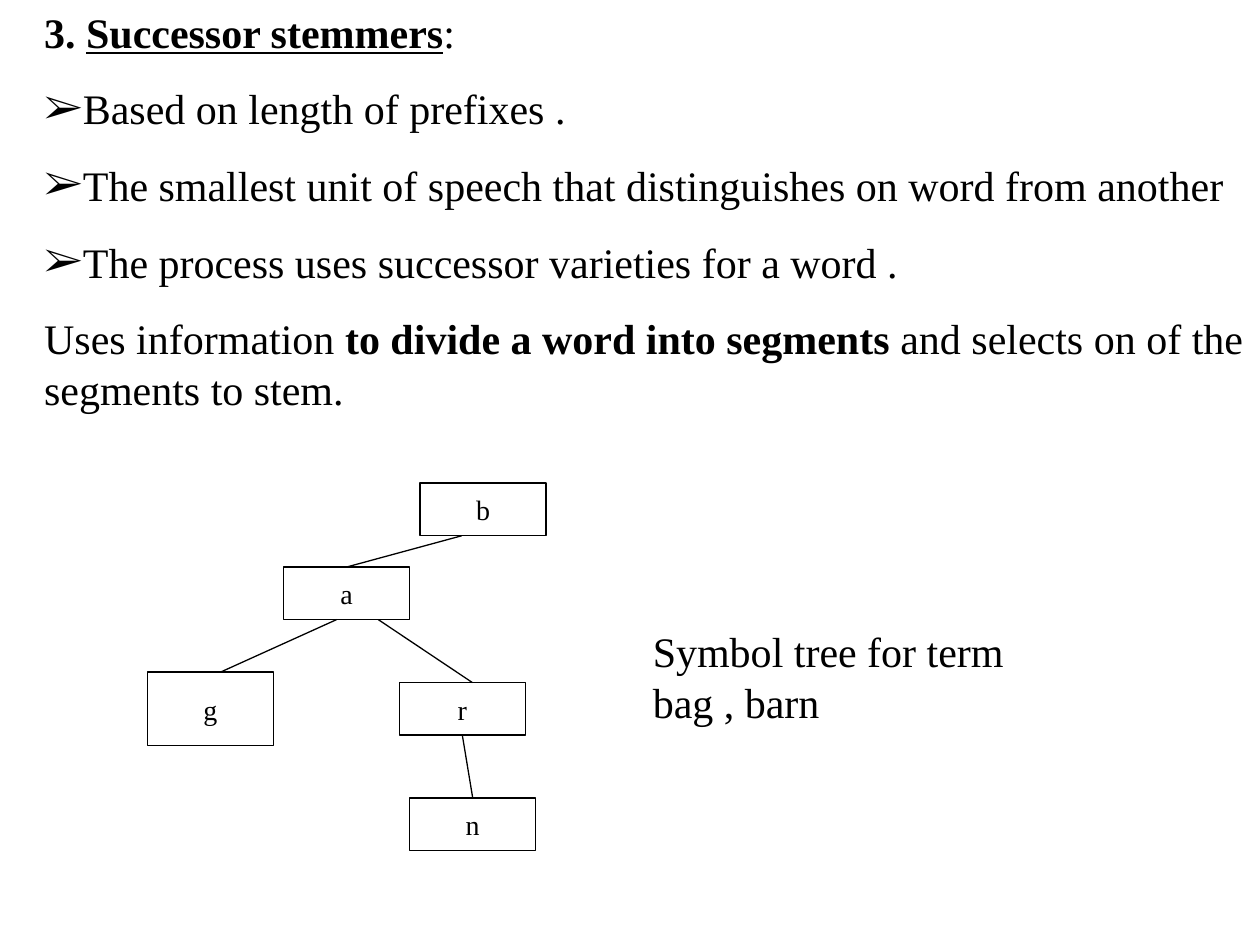
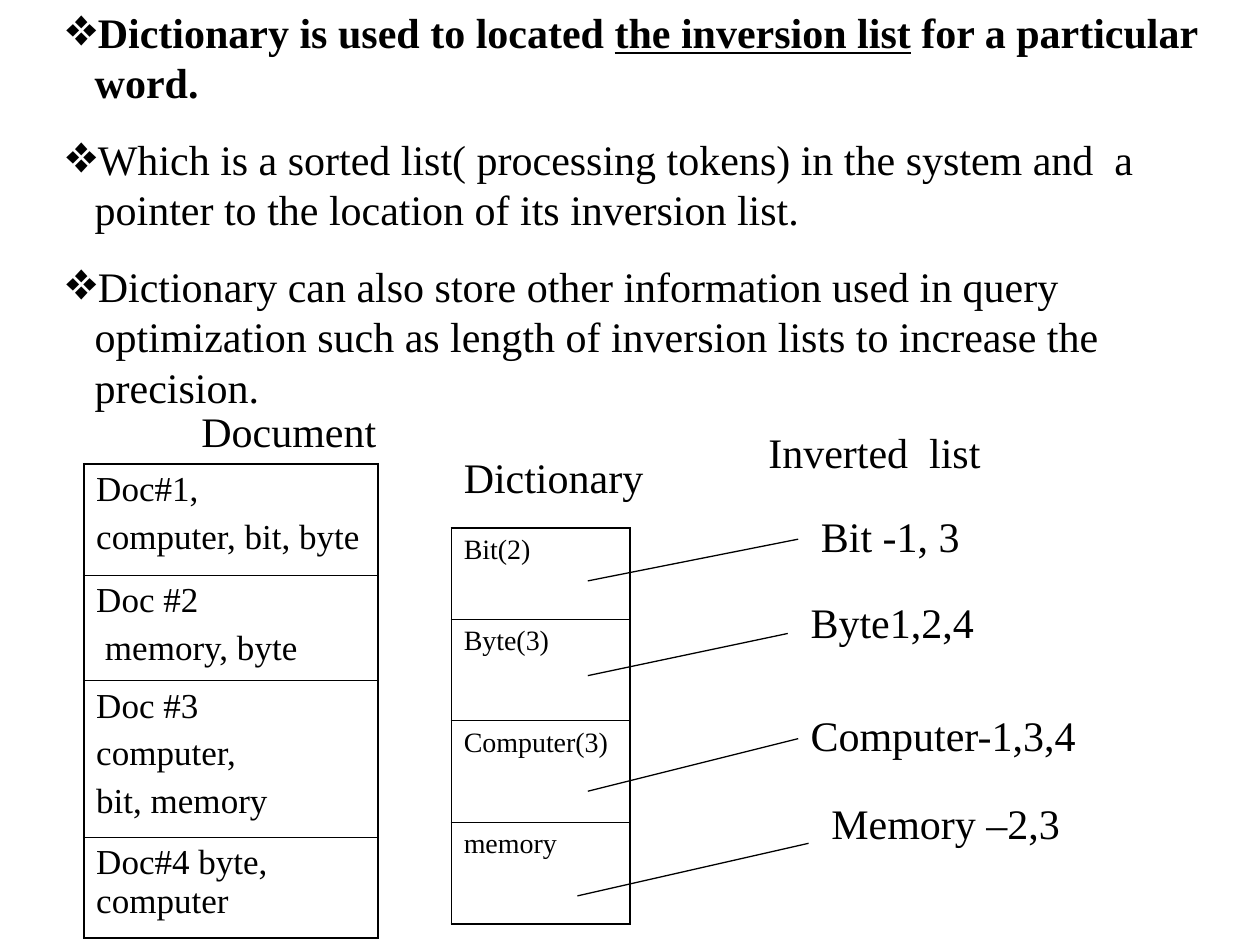
from lxml import etree
from pptx import Presentation
from pptx.dml.color import RGBColor
from pptx.enum.shapes import MSO_CONNECTOR, MSO_SHAPE
from pptx.enum.text import MSO_ANCHOR, PP_ALIGN
from pptx.oxml.ns import qn
from pptx.util import Cm, Pt

BLACK = RGBColor(0x00, 0x00, 0x00)
WHITE = RGBColor(0xFF, 0xFF, 0xFF)
RECTANGLE = MSO_SHAPE.RECTANGLE
STRAIGHT = MSO_CONNECTOR.STRAIGHT
CENTER = PP_ALIGN.CENTER
MIDDLE = MSO_ANCHOR.MIDDLE
FONT = "Times New Roman"
BODY_SIZE = 24
NODE_SIZE = 16
ARROW = "➢"
DIAMONDS = "❖"


class Deck:
    """Holds the shared style and the current slide, and draws each kind of element."""

    def __init__(self):
        self.presentation = Presentation()
        self.presentation.slide_width = Cm(25.4)
        self.presentation.slide_height = Cm(19.05)
        self.slide = None

    def new_slide(self):
        self.slide = self.presentation.slides.add_slide(self.presentation.slide_layouts[6])

    def style_run(self, run, size, marks=""):
        run.font.name = FONT
        run.font.size = Pt(size)
        run.font.color.rgb = BLACK
        run.font.bold = "b" in marks
        run.font.underline = "u" in marks

    def bullet(self, paragraph, symbol, hanging):
        properties = paragraph._p.get_or_add_pPr()
        properties.set("marL", str(Cm(hanging)))
        properties.set("indent", str(-Cm(hanging)))
        color = etree.SubElement(properties, qn("a:buClr"))
        etree.SubElement(color, qn("a:srgbClr"), val=str(BLACK))
        etree.SubElement(properties, qn("a:buFont"), typeface=FONT)
        etree.SubElement(properties, qn("a:buChar"), char=symbol)

    def text(self, left, top, width, height, paragraphs, hanging=0):
        box = self.slide.shapes.add_textbox(Cm(left), Cm(top), Cm(width), Cm(height))
        frame = box.text_frame
        frame.word_wrap = True
        for index, (symbol, pieces) in enumerate(paragraphs):
            paragraph = frame.add_paragraph() if index else frame.paragraphs[0]
            paragraph.space_before = Pt(15)
            if symbol:
                self.bullet(paragraph, symbol, hanging)
            for words, marks in pieces:
                run = paragraph.add_run()
                run.text = words
                self.style_run(run, BODY_SIZE, marks)

    def label(self, left, top, width, words, height=1.27):
        self.text(left, top, width, height, [("", [(words, "")])])

    def node(self, left, top, width, height, letter):
        box = self.slide.shapes.add_shape(RECTANGLE, Cm(left), Cm(top), Cm(width), Cm(height))
        box.shadow.inherit = False
        box.fill.solid()
        box.fill.fore_color.rgb = WHITE
        box.line.color.rgb = BLACK
        box.line.width = Pt(0.75)
        frame = box.text_frame
        frame.word_wrap = False
        frame.vertical_anchor = MIDDLE
        frame.text = letter
        frame.paragraphs[0].alignment = CENTER
        self.style_run(frame.paragraphs[0].runs[0], NODE_SIZE)

    def line(self, x1, y1, x2, y2):
        connector = self.slide.shapes.add_connector(STRAIGHT, Cm(x1), Cm(y1), Cm(x2), Cm(y2))
        connector.line.color.rgb = BLACK
        connector.line.width = Pt(0.75)
        etree.SubElement(connector._element.spPr, qn("a:effectLst"))

    def border(self, cell, side, points):
        edge = etree.SubElement(cell._tc.get_or_add_tcPr(), qn(f"a:ln{side}"), w=str(Pt(points)))
        fill = etree.SubElement(edge, qn("a:solidFill"))
        etree.SubElement(fill, qn("a:srgbClr"), val=str(BLACK))

    def column_table(self, left, top, width, size, rows):
        heights = [height for height, _ in rows]
        frame = self.slide.shapes.add_table(
            len(rows), 1, Cm(left), Cm(top), Cm(width), Cm(sum(heights)))
        table = frame.table
        table.first_row = False
        table.horz_banding = False
        last = len(rows) - 1
        for index, (height, words) in enumerate(rows):
            table.rows[index].height = Cm(height)
            cell = table.cell(index, 0)
            cell.margin_left = cell.margin_right = Cm(0.25)
            cell.margin_top = cell.margin_bottom = Cm(0.13)
            cell.text_frame.text = words
            for paragraph in cell.text_frame.paragraphs:
                paragraph.space_before = Pt(size / 4)
                self.style_run(paragraph.runs[0], size)
            self.border(cell, "L", 1.08)
            self.border(cell, "R", 1.08)
            self.border(cell, "T", 0.45 if index else 1.08)
            self.border(cell, "B", 0.45 if index < last else 1.08)
            cell.fill.background()


def successor_stemmers(deck):
    deck.new_slide()
    deck.text(0.64, 0, 24.76, 8.48, [
        ("", [("3. ", "b"), ("Successor stemmers", "bu"), (":", "")]),
        (ARROW, [("Based on length of prefixes .", "")]),
        (ARROW, [("The smallest unit of speech that distinguishes on word from another", "")]),
        (ARROW, [("The process uses successor varieties for a word .", "")]),
        ("", [("Uses information ", ""), ("to divide a word into segments", "b"),
              (" and selects on of the segments to stem.", "")]),
    ])
    node_width = 2.54
    nodes = {
        "b": (8.47, 9.74, 1.06),
        "a": (5.72, 11.43, 1.06),
        "g": (2.97, 13.55, 1.48),
        "r": (8.05, 13.76, 1.06),
        "n": (8.26, 16.09, 1.06),
    }
    for letter, (left, top, height) in nodes.items():
        deck.node(left, top, node_width, height, letter)
    branches = [("b", 0.33, "a", 0.5), ("a", 0.42, "g", 0.58),
                ("a", 0.75, "r", 0.58), ("r", 0.5, "n", 0.5)]
    for parent, start, child, end in branches:
        parent_left, parent_top, parent_height = nodes[parent]
        child_left, child_top, _ = nodes[child]
        deck.line(parent_left + start * node_width, parent_top + parent_height,
                  child_left + end * node_width, child_top)
    deck.label(12.91, 12.49, 8.89, "Symbol tree for term bag , barn", 2.29)


def inversion_dictionary(deck):
    deck.new_slide()
    deck.text(1.06, 0, 24.34, 7.42, [
        (DIAMONDS, [("Dictionary is used to located ", "b"), ("the inversion list", "bu"),
                    (" for a particular word.", "b")]),
        (DIAMONDS, [("Which is a sorted list( processing tokens) in the system and  a "
                     "pointer to the location of its inversion list.", "")]),
        (DIAMONDS, [("Dictionary can also store other information used in query "
                     "optimization such as length of inversion lists to increase the "
                     "precision.", "")]),
    ], hanging=0.6)
    deck.column_table(1.69, 9.35, 5.93, 20, [
        (2.24, "Doc#1,\ncomputer, bit, byte"),
        (2.13, "Doc #2\n memory, byte"),
        (3.14, "Doc #3\ncomputer,\nbit, memory"),
        (2.03, "Doc#4 byte, computer"),
    ])
    deck.column_table(9.1, 10.65, 3.6, 16, [
        (1.83, "Bit(2)"), (2.05, "Byte(3)"), (2.05, "Computer(3)"), (2.05, "memory"),
    ])
    deck.label(3.81, 8.04, 4.45, "Document")
    deck.label(9.1, 8.97, 4.45, "Dictionary")
    deck.label(15.24, 8.47, 8.04, "Inverted  list")
    postings = [
        ("Bit -1, 3", 16.3, 10.16, (11.85, 11.71, 16.09, 10.87)),
        ("Byte1,2,4", 16.09, 11.91, (11.85, 13.62, 15.88, 12.77)),
        ("Computer-1,3,4", 16.09, 14.18, (11.85, 15.95, 16.09, 14.89)),
        ("Memory –2,3", 16.51, 15.95, (11.64, 18.06, 16.3, 17)),
    ]
    for words, left, top, pointer in postings:
        deck.line(*pointer)
        deck.label(left, top, 6.35, words)


def main():
    deck = Deck()
    successor_stemmers(deck)
    inversion_dictionary(deck)
    deck.presentation.save("out.pptx")


if __name__ == "__main__":
    main()
